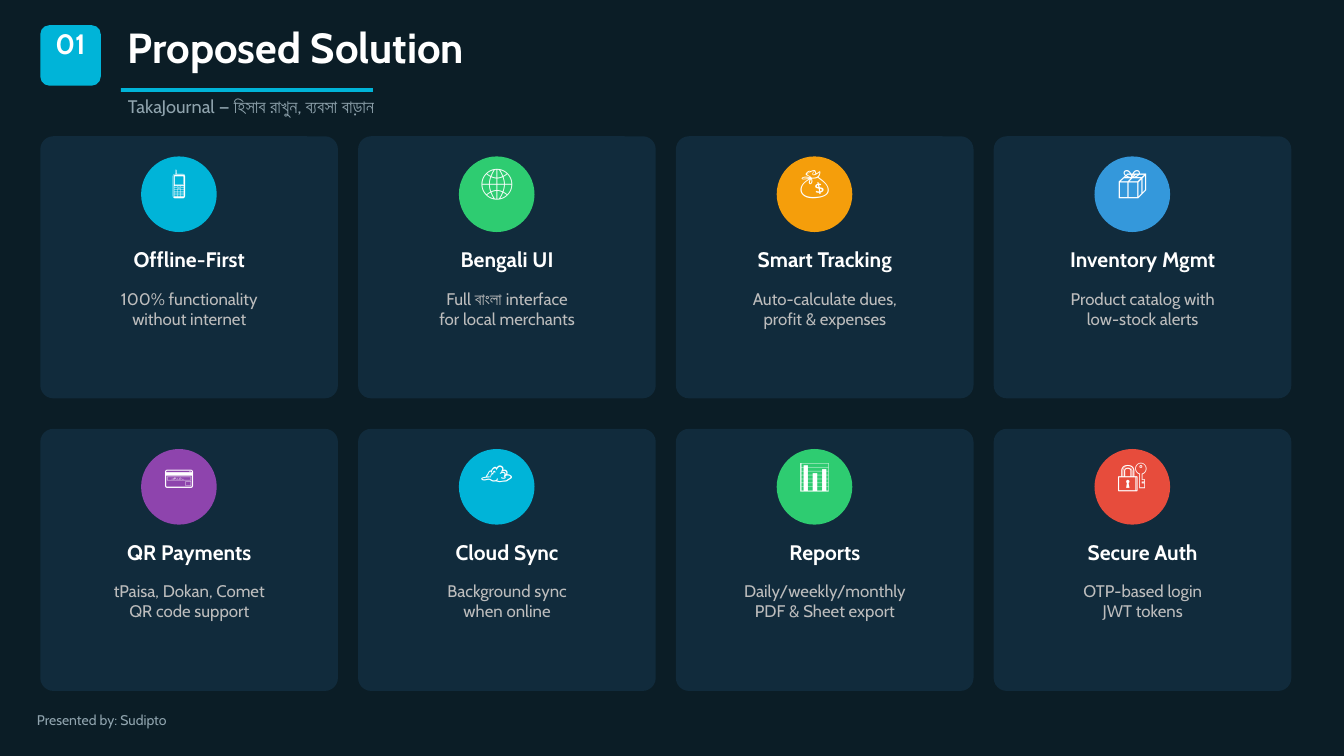
import pptx
import pptx.dml.color
import pptx.enum.shapes
import pptx.enum.text
import pptx.util

Pt = pptx.util.Pt
RGBColor = pptx.dml.color.RGBColor
Shape = pptx.enum.shapes.MSO_SHAPE
Align = pptx.enum.text.PP_ALIGN

NIGHT = RGBColor(0x0B, 0x1D, 0x26)
NAVY = RGBColor(0x11, 0x2B, 0x3C)
CYAN = RGBColor(0x00, 0xB4, 0xD8)
GREEN = RGBColor(0x2E, 0xCC, 0x71)
AMBER = RGBColor(0xF5, 0x9E, 0x0B)
BLUE = RGBColor(0x34, 0x98, 0xDB)
PURPLE = RGBColor(0x8E, 0x44, 0xAD)
RED = RGBColor(0xE7, 0x4C, 0x3C)
WHITE = RGBColor(0xFF, 0xFF, 0xFF)
SLATE = RGBColor(0x90, 0xA4, 0xAE)
SILVER = RGBColor(0xBD, 0xBD, 0xBD)

FONT = "Cabin"
NUMBER = "01"
TITLE = "Proposed Solution"
TAGLINE = "TakaJournal — হিসাব রাখুন, ব্যবসা বাড়ান"
PRESENTER = "Presented by: Sudipto"

FEATURES = [
    ("📱", CYAN, "Offline-First", "100% functionality\nwithout internet"),
    ("🌐", GREEN, "Bengali UI", "Full বাংলা interface\nfor local merchants"),
    ("💰", AMBER, "Smart Tracking", "Auto-calculate dues,\nprofit & expenses"),
    ("📦", BLUE, "Inventory Mgmt", "Product catalog with\nlow-stock alerts"),
    ("💳", PURPLE, "QR Payments", "tPaisa, Dokan, Comet\nQR code support"),
    ("☁️", CYAN, "Cloud Sync", "Background sync\nwhen online"),
    ("📊", GREEN, "Reports", "Daily/weekly/monthly\nPDF & Sheet export"),
    ("🔐", RED, "Secure Auth", "OTP-based login\nJWT tokens"),
]

COLUMNS = 4
GRID_LEFT, GRID_TOP = 43.2, 146
CARD_WIDTH, CARD_HEIGHT = 318.9, 280.8
COLUMN_GAP, ROW_GAP = 21.6, 32.7
LINE_HEIGHT = 1.2


def add_panel(slide, kind, left, top, width, height, color, radius=None):
    panel = slide.shapes.add_shape(kind, Pt(left), Pt(top), Pt(width), Pt(height))
    panel.shadow.inherit = False
    panel.fill.solid()
    panel.fill.fore_color.rgb = color
    panel.line.fill.background()
    if radius is not None:
        panel.adjustments[0] = radius / min(width, height)


def add_text(slide, text, left, top, width, height, *, size, color,
             bold=False, align=Align.LEFT):
    """Add a text box without margins, one paragraph for each line of text."""
    frame = slide.shapes.add_textbox(
        Pt(left), Pt(top), Pt(width), Pt(height)).text_frame
    frame.word_wrap = True
    frame.margin_left = frame.margin_right = 0
    frame.margin_top = frame.margin_bottom = 0
    frame.text = text
    for paragraph in frame.paragraphs:
        paragraph.alignment = align
        paragraph.line_spacing = Pt(size * LINE_HEIGHT)
        for run in paragraph.runs:
            run.font.name = FONT
            run.font.size = Pt(size)
            run.font.bold = bold
            run.font.color.rgb = color


def add_header(slide):
    add_panel(slide, Shape.ROUNDED_RECTANGLE, 43.2, 27, 64.8, 64.8, CYAN, radius=9.75)
    add_text(slide, NUMBER, 50.4, 28.8, 50.4, 57.6,
             size=30, color=WHITE, bold=True, align=Align.CENTER)
    add_text(slide, TITLE, 137, 23, 1066, 60, size=45, color=WHITE, bold=True)
    add_panel(slide, Shape.RECTANGLE, 129.6, 94.4, 270, 4.2, CYAN)
    add_text(slide, TAGLINE, 137, 102.4, 1066, 34.6, size=19.5, color=SLATE)


def add_card(slide, left, top, icon, color, heading, description):
    add_panel(slide, Shape.ROUNDED_RECTANGLE, left, top, CARD_WIDTH, CARD_HEIGHT,
              NAVY, radius=14)
    add_panel(slide, Shape.OVAL, left + 108, top + 21.6, 81, 81, color)
    add_text(slide, icon, left + 115.2, top + 28.4, 67, 57.6,
             size=33, color=WHITE, align=Align.CENTER)
    add_text(slide, heading, left + 12.7, top + 118, 293.8, 35.3,
             size=22.5, color=WHITE, bold=True, align=Align.CENTER)
    add_text(slide, description, left + 12.7, top + 162.8, 293.8, 82,
             size=18, color=SILVER, align=Align.CENTER)


def main():
    deck = pptx.Presentation()
    deck.slide_width, deck.slide_height = Pt(1440), Pt(810)
    slide = deck.slides.add_slide(deck.slide_layouts[6])
    slide.background.fill.solid()
    slide.background.fill.fore_color.rgb = NIGHT

    add_header(slide)
    for index, feature in enumerate(FEATURES):
        row, column = divmod(index, COLUMNS)
        add_card(slide,
                 GRID_LEFT + column * (CARD_WIDTH + COLUMN_GAP),
                 GRID_TOP + row * (CARD_HEIGHT + ROW_GAP),
                 *feature)
    add_text(slide, PRESENTER, 39.6, 762.5, 309.6, 33.8, size=15, color=SLATE)

    deck.save("out.pptx")


if __name__ == "__main__":
    main()
